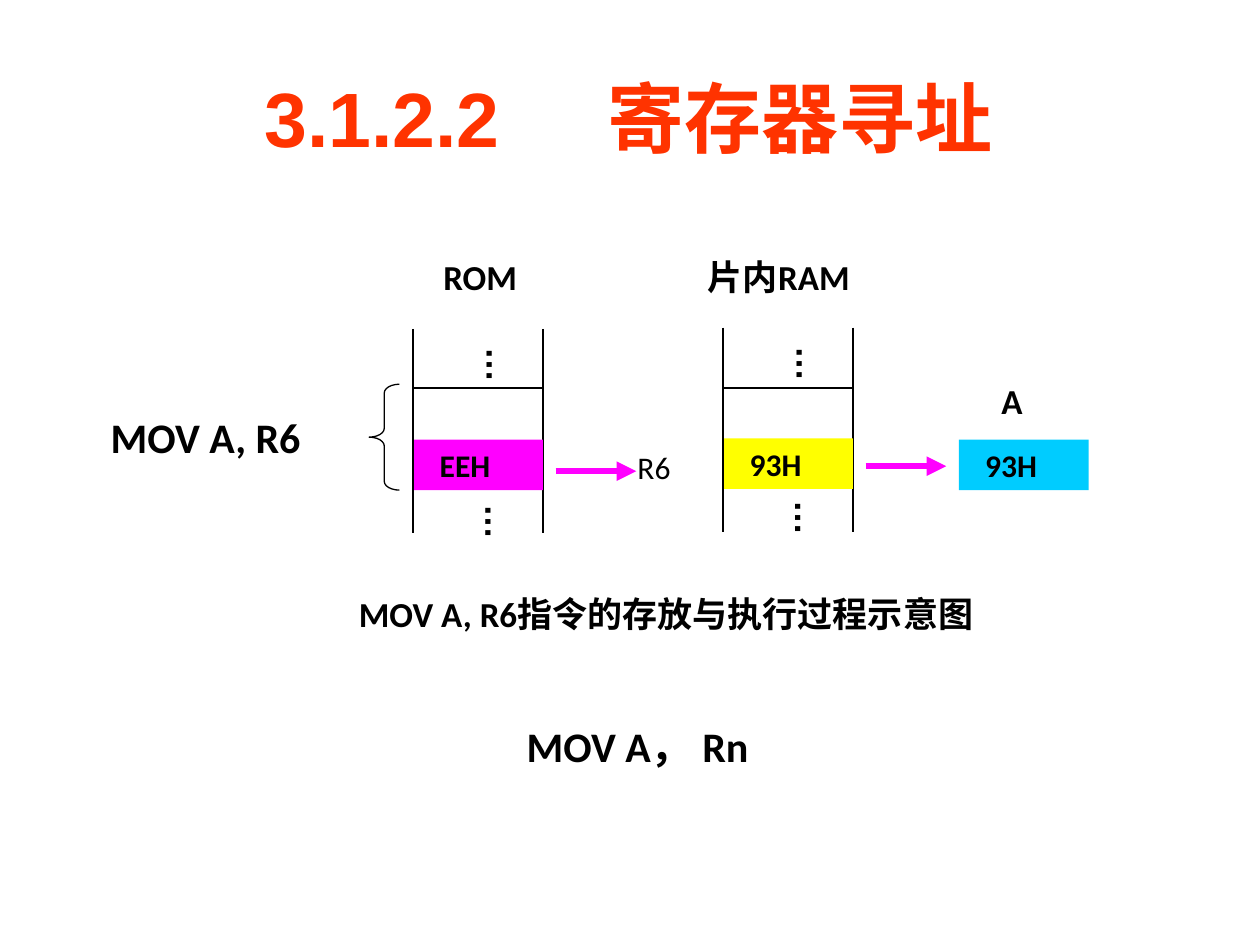
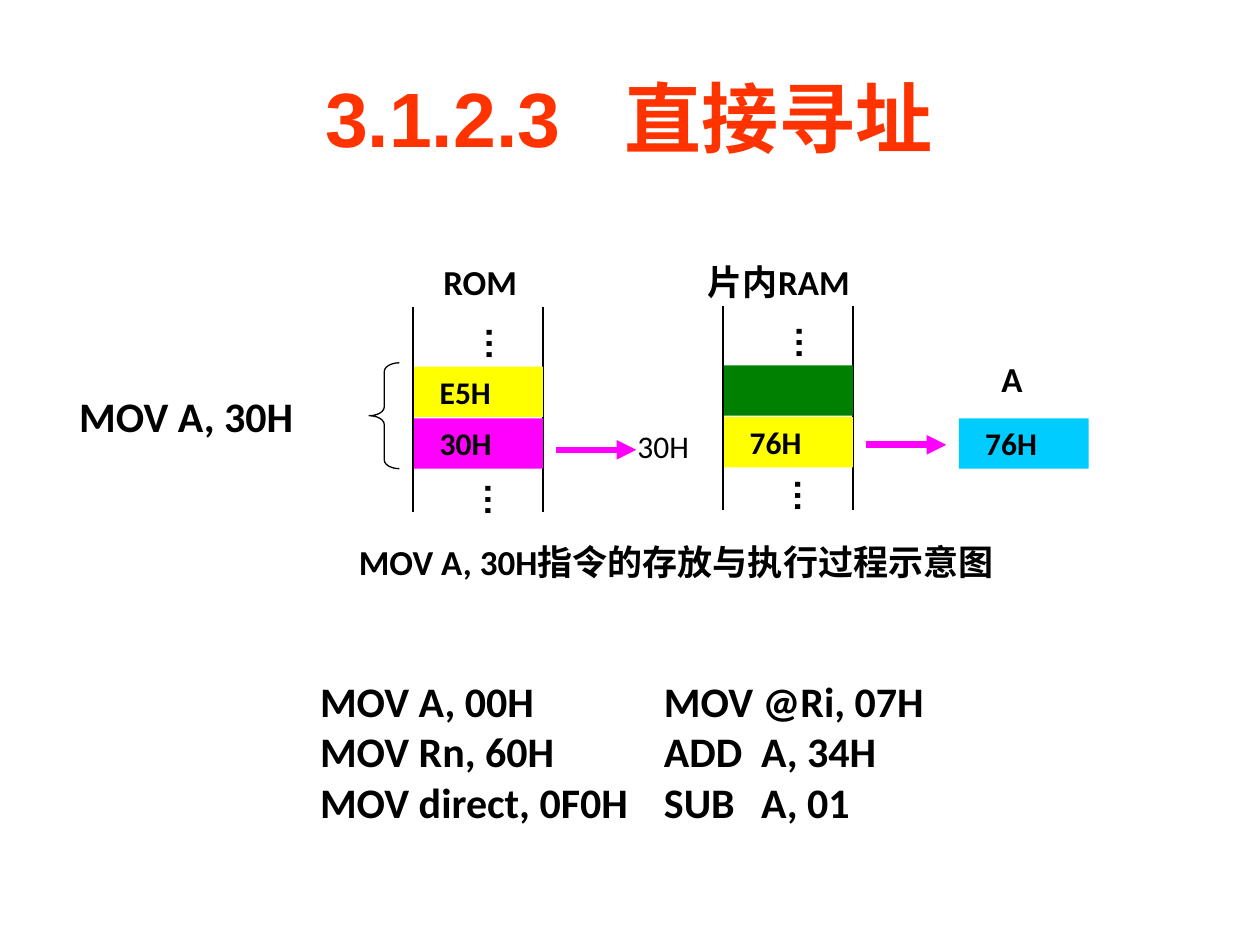
from dataclasses import dataclass

from lxml.etree import SubElement
from pptx import Presentation
from pptx.dml.color import RGBColor
from pptx.enum.shapes import MSO_CONNECTOR, MSO_SHAPE
from pptx.enum.text import MSO_ANCHOR, MSO_AUTO_SIZE
from pptx.oxml.ns import qn
from pptx.util import Inches, Pt

COLORS = {
    "title": "FF3300",
    "ink": "000000",
    "magenta": "FF00FF",
    "yellow": "FFFF00",
    "green": "008000",
    "cyan": "00CCFF",
}
CELL_WIDTH, CELL_HEIGHT = 1.03, 0.4
ROM_LEFT, RAM_LEFT, ACCUMULATOR_LEFT = 3.28, 5.74, 7.61
RAM_RISE = 0.01
CELL_INDENT = 0.21


@dataclass(frozen=True)
class Style:
    size: int
    bold: bool = True
    font: str = "Calibri"
    color: str = "ink"


TITLE = Style(44, font="Arial", color="title")
DOTS = Style(20, font="Arial")
HEADING = Style(20)
CODE = Style(24)
CELL = Style(18)
ADDRESS = Style(18, bold=False)


@dataclass(frozen=True)
class Cell:
    color: str
    text: str = ""


@dataclass(frozen=True)
class Column:
    left: float
    lower: Cell
    upper: Cell | None = None
    rise: float = 0


@dataclass(frozen=True)
class Listing:
    text: str
    left: float
    top: float
    width: float
    height: float
    indent: float
    tabs: tuple[float, ...] = ()


@dataclass(frozen=True)
class Lesson:
    title: str
    title_indent: float
    title_tab: float
    instruction: str
    instruction_left: float
    instruction_width: float
    address: str
    rom: Column
    ram: Column
    result: str
    shift: float
    heading_top: float
    caption_top: float
    caption_width: float
    listing: Listing


def write(frame, text: str, style: Style, tabs: tuple[float, ...] = ()) -> None:
    frame.text = text
    for para in frame.paragraphs:
        if tabs:
            tab_list = SubElement(para._p.get_or_add_pPr(), qn("a:tabLst"))
            for position in tabs:
                SubElement(tab_list, qn("a:tab"), pos=str(Inches(position)), algn="l")
        for span in para.runs:
            span.font.name = style.font
            span.font.size = Pt(style.size)
            span.font.bold = style.bold
            span.font.color.rgb = RGBColor.from_string(COLORS[style.color])


def add_text(page, text: str, style: Style, left: float, top: float,
             width: float, height: float, indent: float = 0.1,
             wrap: bool = False, tabs: tuple[float, ...] = ()):
    box = page.shapes.add_textbox(Inches(left), Inches(top), Inches(width), Inches(height))
    frame = box.text_frame
    frame.margin_left = Inches(indent)
    frame.word_wrap = wrap
    frame.auto_size = MSO_AUTO_SIZE.SHAPE_TO_FIT_TEXT
    write(frame, text, style, tabs)
    return box


def add_title(page, lesson: Lesson) -> None:
    box = add_text(page, lesson.title, TITLE, 0.5, 0.3, 9, 1.25,
                   lesson.title_indent, True, (lesson.title_tab,))
    box.text_frame.auto_size = MSO_AUTO_SIZE.NONE
    box.text_frame.vertical_anchor = MSO_ANCHOR.MIDDLE


def add_dots(page, left: float, top: float) -> None:
    frame = add_text(page, "…", DOTS, left, top, 0.53, 0.38, 0.05).text_frame
    frame.margin_right = Inches(0.05)
    frame.margin_top = frame.margin_bottom = Inches(0.1)
    frame._txBody.bodyPr.set("vert", "eaVert")


def add_cell(page, cell: Cell, left: float, top: float) -> None:
    box = page.shapes.add_shape(MSO_SHAPE.RECTANGLE, Inches(left), Inches(top),
                                Inches(CELL_WIDTH), Inches(CELL_HEIGHT))
    box.shadow.inherit = False
    box.fill.solid()
    box.fill.fore_color.rgb = RGBColor.from_string(COLORS[cell.color])
    box.line.fill.background()
    if cell.text:
        frame = box.text_frame
        frame.margin_left = Inches(CELL_INDENT)
        frame.vertical_anchor = MSO_ANCHOR.TOP
        write(frame, cell.text, CELL)
        frame.paragraphs[0].alignment = 1


def add_line(page, start: tuple[float, float], end: tuple[float, float],
             width: float, color: str = "ink", arrow: bool = False) -> None:
    line = page.shapes.add_connector(MSO_CONNECTOR.STRAIGHT, *map(Inches, start + end))
    line.line.color.rgb = RGBColor.from_string(COLORS[color])
    line.line.width = Pt(width)
    if arrow:
        SubElement(line.line._get_or_add_ln(), qn("a:tailEnd"), type="triangle")
    SubElement(line._element.spPr, qn("a:effectLst"))


def add_brace(page, top: float) -> None:
    brace = page.shapes.add_shape(MSO_SHAPE.LEFT_BRACE, Inches(2.93), Inches(top),
                                  Inches(0.24), Inches(0.84))
    brace.adjustments[0] = 0.29
    brace.shadow.inherit = False
    brace.fill.background()
    brace.line.color.rgb = RGBColor.from_string(COLORS["ink"])
    brace.line.width = Pt(0.75)


def add_column(page, column: Column, shift: float) -> None:
    left, right = column.left, column.left + CELL_WIDTH
    base = shift - column.rise
    add_line(page, (right, 2.61 + base), (right, 4.23 + base), 1)
    if column.upper:
        add_cell(page, column.upper, left, 3.08 + base)
    else:
        add_line(page, (left, 3.08), (right, 3.08), 0.75)
    add_cell(page, column.lower, left, 3.49 + base)
    add_line(page, (left, 2.61 + base), (left, 4.23 + base), 1)
    add_dots(page, left + 0.38, 2.66 + base)
    add_dots(page, left + 0.37, 3.9 + shift - 3 * column.rise)


def add_arrow(page, left: float, top: float) -> None:
    add_line(page, (left, top), (left + 0.64, top), 3.75, "magenta", True)


def build_page(deck, lesson: Lesson) -> None:
    page = deck.slides.add_slide(deck.slide_layouts[6])
    shift = lesson.shift
    add_title(page, lesson)
    add_text(page, lesson.instruction, CODE, lesson.instruction_left, 3.22 + shift,
             lesson.instruction_width, 0.5)
    add_brace(page, 3.05 + shift)
    add_text(page, "ROM", HEADING, 3.42, lesson.heading_top, 0.79, 0.44)
    add_text(page, "片内RAM", HEADING, 5.52, lesson.heading_top, 1.39, 0.44)
    for column in (lesson.rom, lesson.ram):
        add_column(page, column, shift)
    add_text(page, lesson.address, ADDRESS, 4.85, 3.51 + shift, CELL_WIDTH, CELL_HEIGHT,
             CELL_INDENT, True)
    add_arrow(page, 4.41, 3.74 + shift)
    add_arrow(page, 6.87, 3.7 + shift)
    add_text(page, "A", HEADING, 7.85, 2.96 + shift, 0.37, 0.44)
    add_cell(page, Cell("cyan", lesson.result), ACCUMULATOR_LEFT, 3.49 + shift)
    add_text(page, f"{lesson.instruction}指令的存放与执行过程示意图", HEADING,
             2.75, lesson.caption_top, lesson.caption_width, 0.44)
    listing = lesson.listing
    add_text(page, listing.text, CODE, listing.left, listing.top, listing.width,
             listing.height, listing.indent, True, listing.tabs)


LESSONS = (
    Lesson(
        title="3.1.2.2\t寄存器寻址", title_indent=1.6, title_tab=2.72,
        instruction="MOV A, R6", instruction_left=0.78, instruction_width=1.71,
        address="R6",
        rom=Column(ROM_LEFT, Cell("magenta", "EEH")),
        ram=Column(RAM_LEFT, Cell("yellow", "93H"), rise=RAM_RISE),
        result="93H", shift=0, heading_top=1.98, caption_top=4.65, caption_width=5.14,
        listing=Listing("MOV A， Rn", 4.02, 5.67, 2.36, 0.9, 0.16),
    ),
    Lesson(
        title="3.1.2.3\t直接寻址", title_indent=2.08, title_tab=2.38,
        instruction="MOV A, 30H", instruction_left=0.53, instruction_width=1.9,
        address="30H",
        rom=Column(ROM_LEFT, Cell("magenta", "30H"), Cell("yellow", "E5H")),
        ram=Column(RAM_LEFT, Cell("yellow", "76H"), Cell("green"), RAM_RISE),
        result="76H", shift=-0.17, heading_top=2.02, caption_top=4.24, caption_width=5.3,
        listing=Listing(
            "MOV A, 00H\tMOV @Ri, 07H\n"
            "MOV Rn, 60H\tADD\tA, 34H\n"
            "MOV direct, 0F0H\tSUB\tA, 01",
            2.39, 5.31, 6.6, 1.3, 0.15, (2.73, 3.5)),
    ),
)


def main() -> None:
    deck = Presentation()
    deck.slide_width = Inches(10)
    deck.slide_height = Inches(7.5)
    for lesson in LESSONS:
        build_page(deck, lesson)
    deck.save("out.pptx")


if __name__ == "__main__":
    main()
